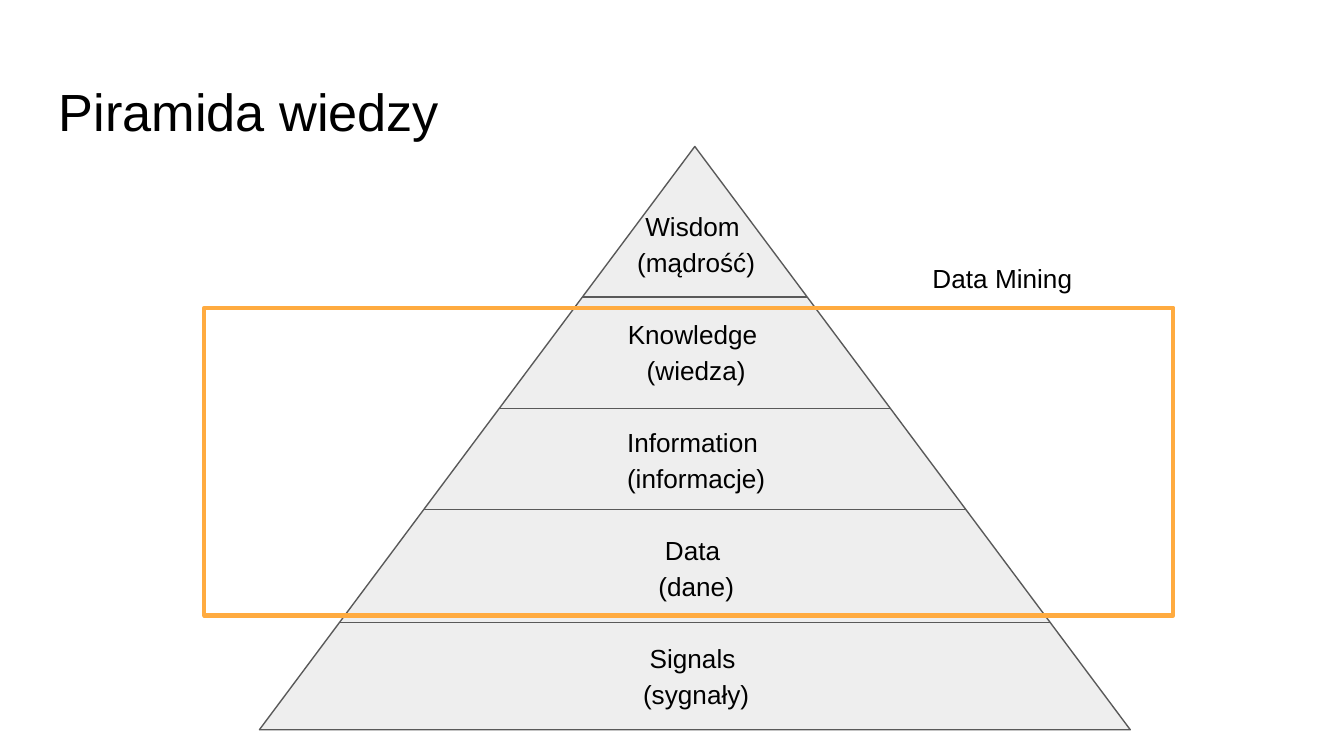
import pptx
import pptx.dml.color
import pptx.enum.shapes
import pptx.enum.text
import pptx.oxml.ns
import pptx.util
from lxml import etree

Inches, Pt = pptx.util.Inches, pptx.util.Pt
SHAPES = pptx.enum.shapes.MSO_SHAPE
CENTER = pptx.enum.text.PP_ALIGN.CENTER
SLIDE_WIDTH = 10
SLIDE_HEIGHT = SLIDE_WIDTH * 9 / 16
COLORS = {"text": "000000", "pyramid": "EEEEEE", "edge": "595959", "frame": "FFAB40"}
LAYERS = [
    "Wisdom \v(mądrość)",
    "Knowledge \v(wiedza)",
    "Information \v(informacje)",
    "Data \v(dane)",
    "Signals \v(sygnały)",
]
LAYER_FORMAT = {"alignment": CENTER, "line_spacing": 1.15, "space_after": Pt(19.3)}
DIVIDERS = [1.12, 1.95, 2.7, 3.54]


def rgb(role):
    """Return the colour for a role on the slide."""
    return pptx.dml.color.RGBColor.from_string(COLORS[role])


def set_line(line, role, width):
    """Set the colour and width of an outline."""
    line.color.rgb = rgb(role)
    line.width = Pt(width)


def add_text(slide, box, paragraphs, size, paragraph_format):
    """Add a text box with one paragraph for each string."""
    frame = slide.shapes.add_textbox(*map(Inches, box)).text_frame
    margins = ("margin_left", "margin_top", "margin_right", "margin_bottom")
    for name, value in {"word_wrap": True, **dict.fromkeys(margins, Inches(0.1))}.items():
        setattr(frame, name, value)
    font_format = {"name": "Arial", "size": Pt(size)}
    for index, content in enumerate(paragraphs):
        paragraph = frame.add_paragraph() if index else frame.paragraphs[0]
        paragraph.text = content
        for name, value in paragraph_format.items():
            setattr(paragraph, name, value)
        for run in paragraph.runs:
            run.font.color.rgb = rgb("text")
            for name, value in font_format.items():
                setattr(run.font, name, value)


def add_divider(slide, left, right, y):
    """Add a horizontal line between two pyramid layers."""
    divider = slide.shapes.add_connector(
        pptx.enum.shapes.MSO_CONNECTOR.STRAIGHT, *map(Inches, (left, y, right, y))
    )
    set_line(divider.line, "edge", 0.75)
    etree.SubElement(divider.element.spPr, pptx.oxml.ns.qn("a:effectLst"))


def add_pyramid(slide, box):
    """Add the triangle, its dividers and the layer names."""
    left, top, width, height = box
    pyramid = slide.shapes.add_shape(SHAPES.ISOSCELES_TRIANGLE, *map(Inches, box))
    pyramid.shadow.inherit = False
    pyramid.fill.solid()
    pyramid.fill.fore_color.rgb = rgb("pyramid")
    set_line(pyramid.line, "edge", 0.75)
    center = left + width / 2
    for depth in DIVIDERS:
        half = width / 2 * depth / height
        add_divider(slide, center - half, center + half, top + depth)
    names_box = (left + 0.49, top + 0.34, 5.52, 3.74)
    add_text(slide, names_box, LAYERS, 14, LAYER_FORMAT)


def add_data_mining(slide, box):
    """Add the frame around the mined layers and its label."""
    left, top, width, height = box
    scope = slide.shapes.add_shape(SHAPES.RECTANGLE, *map(Inches, box))
    scope.shadow.inherit = False
    scope.fill.background()
    set_line(scope.line, "frame", 2.25)
    add_text(slide, (left + 5.32, top - 0.44, 2.27, 0.49), ["Data Mining"], 14, {})


def main():
    """Build and save the slide."""
    deck = pptx.Presentation()
    deck.slide_width, deck.slide_height = Inches(SLIDE_WIDTH), Inches(SLIDE_HEIGHT)
    slide = deck.slides.add_slide(deck.slide_layouts[6])
    add_text(slide, (0.34, 0.49, 9.32, 0.63), ["Piramida wiedzy"], 28, {})
    add_pyramid(slide, (1.93, 1.09, 6.48, 4.34))
    add_data_mining(slide, (1.52, 2.29, 7.21, 2.29))
    deck.save("out.pptx")


if __name__ == "__main__":
    main()
